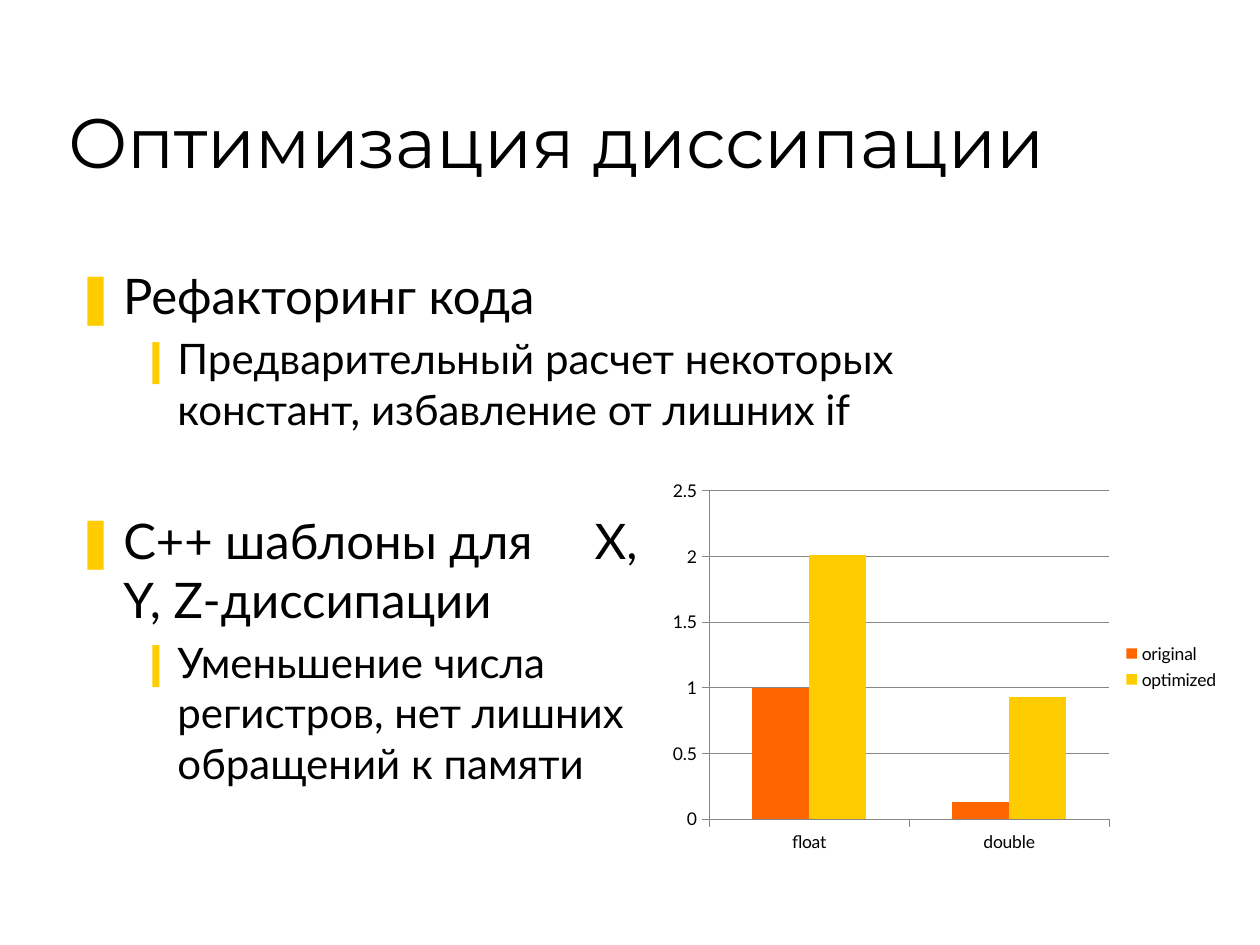
from lxml.etree import SubElement
from pptx import Presentation
from pptx.chart.data import CategoryChartData
from pptx.dml.color import RGBColor
from pptx.enum.chart import XL_CHART_TYPE as ChartType, XL_LEGEND_POSITION as LegendPosition
from pptx.enum.chart import XL_TICK_MARK as TickMark
from pptx.enum.text import MSO_ANCHOR as Anchor, MSO_AUTO_SIZE as AutoSize, PP_ALIGN as Align
from pptx.oxml.ns import qn
from pptx.util import Inches, Pt

BLACK, YELLOW, ORANGE, GRAY = "000000", "FFCC00", "FF6600", "878787"
LEVELS = [("❚", 28, 0.38, 0.38), ("❙", 24, 0.81, 0.31)]


def color(value):
    """Turn a hex string into a colour."""
    return RGBColor.from_string(value)


def style_font(font, name, size):
    """Give a font its face, size and black colour."""
    font.name = name
    font.size = Pt(size)
    font.color.rgb = color(BLACK)


def add_title(page, box, text):
    """Place and format the title placeholder."""
    title = page.shapes.title
    title.left, title.top, title.width, title.height = map(Inches, box)
    frame = title.text_frame
    frame.auto_size = AutoSize.NONE
    frame.vertical_anchor = Anchor.BOTTOM
    para = frame.paragraphs[0]
    para.alignment = Align.LEFT
    span = para.add_run()
    span.text = text
    style_font(span.font, "Montserrat", 40)


def format_bullet(para, level, tab):
    """Set the hanging indent, bullet and optional tab stop of a paragraph."""
    mark, size, margin, hang = LEVELS[level]
    para.level = level
    para.space_before = Pt(size * 0.2)
    props = para._p.get_or_add_pPr()
    props.set("marL", str(Inches(margin)))
    props.set("indent", str(-Inches(hang)))
    bullet_color = SubElement(props, qn("a:buClr"))
    SubElement(bullet_color, qn("a:srgbClr"), val=YELLOW)
    SubElement(props, qn("a:buFont"), typeface="Lato")
    SubElement(props, qn("a:buChar"), char=mark)
    if tab:
        stops = SubElement(props, qn("a:tabLst"))
        SubElement(stops, qn("a:tab"), pos=str(Inches(tab)), algn="l")


def add_bullets(page, box, texts, tab=None):
    """Add a heading bullet followed by its detail bullet."""
    frame = page.shapes.add_textbox(*map(Inches, box)).text_frame
    frame.word_wrap = True
    for level, text in enumerate(texts):
        para = frame.add_paragraph() if level else frame.paragraphs[0]
        format_bullet(para, level, tab if "\t" in text else None)
        span = para.add_run()
        span.text = text
        style_font(span.font, "Lato", LEVELS[level][1])


def add_speed_chart(page, box):
    """Add the column chart comparing both versions of the code."""
    data = CategoryChartData()
    data.categories = ["float", "double"]
    data.add_series("original", [1, 0.13])
    data.add_series("optimized", [2.01, 0.93])
    chart = page.shapes.add_chart(ChartType.COLUMN_CLUSTERED, *map(Inches, box), data).chart
    style_font(chart.font, "Lato", 10)
    chart.has_title = False
    chart.has_legend = True
    chart.legend.position = LegendPosition.RIGHT
    chart.legend.include_in_layout = False
    plot = chart.plots[0]
    plot.gap_width, plot.overlap, plot.vary_by_categories = 150, 0, False
    for series, fill_color in zip(plot.series, [ORANGE, YELLOW]):
        series.format.fill.solid()
        series.format.fill.fore_color.rgb = color(fill_color)
    values = chart.value_axis
    values.minimum_scale, values.maximum_scale, values.major_unit = 0, 2.5, 0.5
    values.has_major_gridlines = True
    for axis in (values, chart.category_axis):
        axis.major_tick_mark = TickMark.OUTSIDE
    for part in (values, values.major_gridlines, chart.category_axis):
        part.format.line.color.rgb = color(GRAY)
        part.format.line.width = Pt(0.75)


def main():
    """Build and save the deck."""
    deck = Presentation()
    deck.slide_width, deck.slide_height = Inches(10), Inches(7.5)
    page = deck.slides.add_slide(deck.slide_layouts[5])
    add_title(page, (0.44, 0.25, 8.5, 1.25), "Оптимизация диссипации")
    add_bullets(page, (0.5, 2.06, 7, 1.6), [
        "Рефакторинг кода",
        "Предварительный расчет некоторых констант, избавление от лишних if",
    ])
    add_bullets(page, (0.5, 4, 4.75, 2.62), [
        "C++ шаблоны для\tX, Y, Z-диссипации",
        "Уменьшение числа регистров, нет лишних обращений к памяти",
    ], tab=4.12)
    add_speed_chart(page, (5.25, 3.75, 4.53, 3.08))
    deck.save("out.pptx")


if __name__ == "__main__":
    main()
